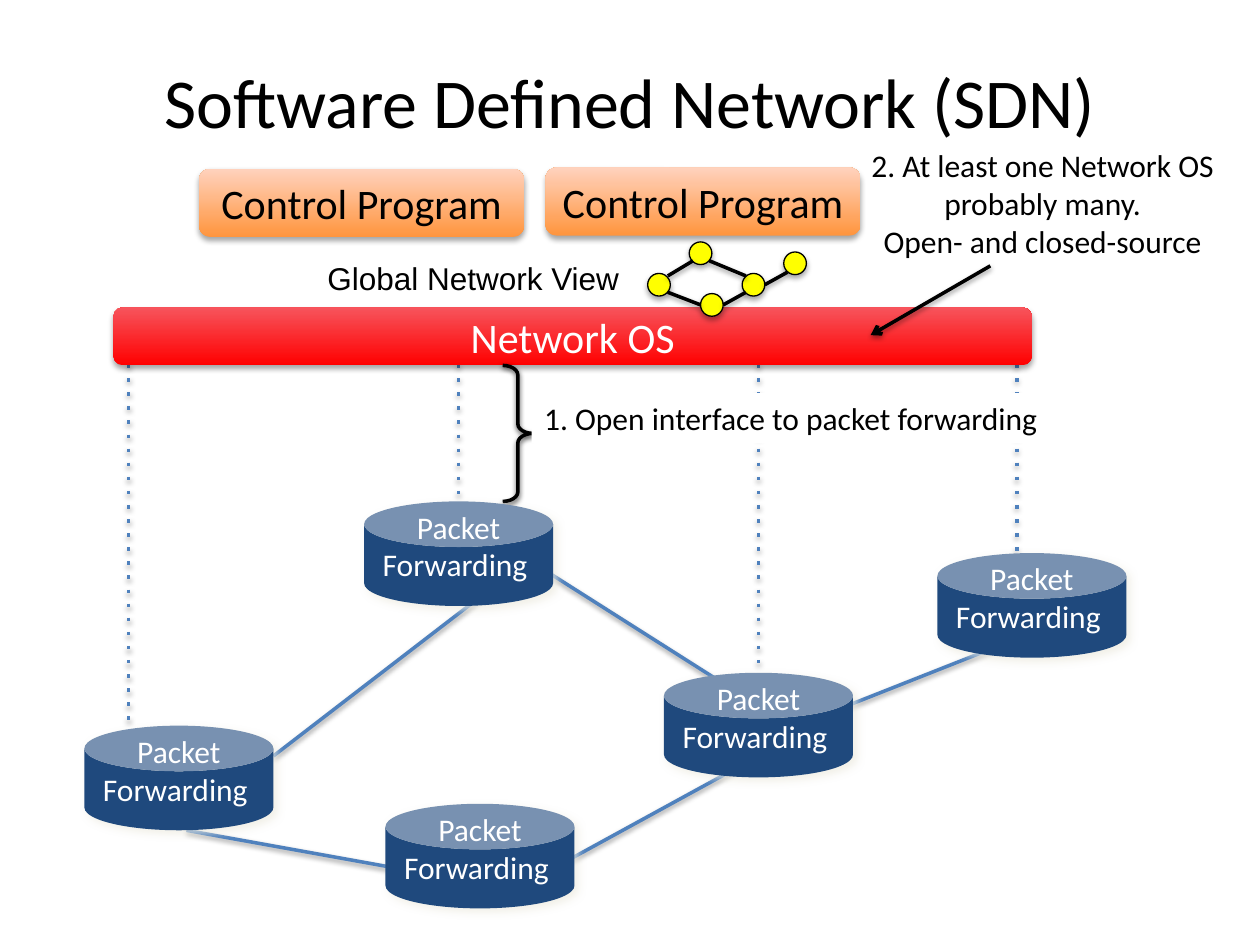
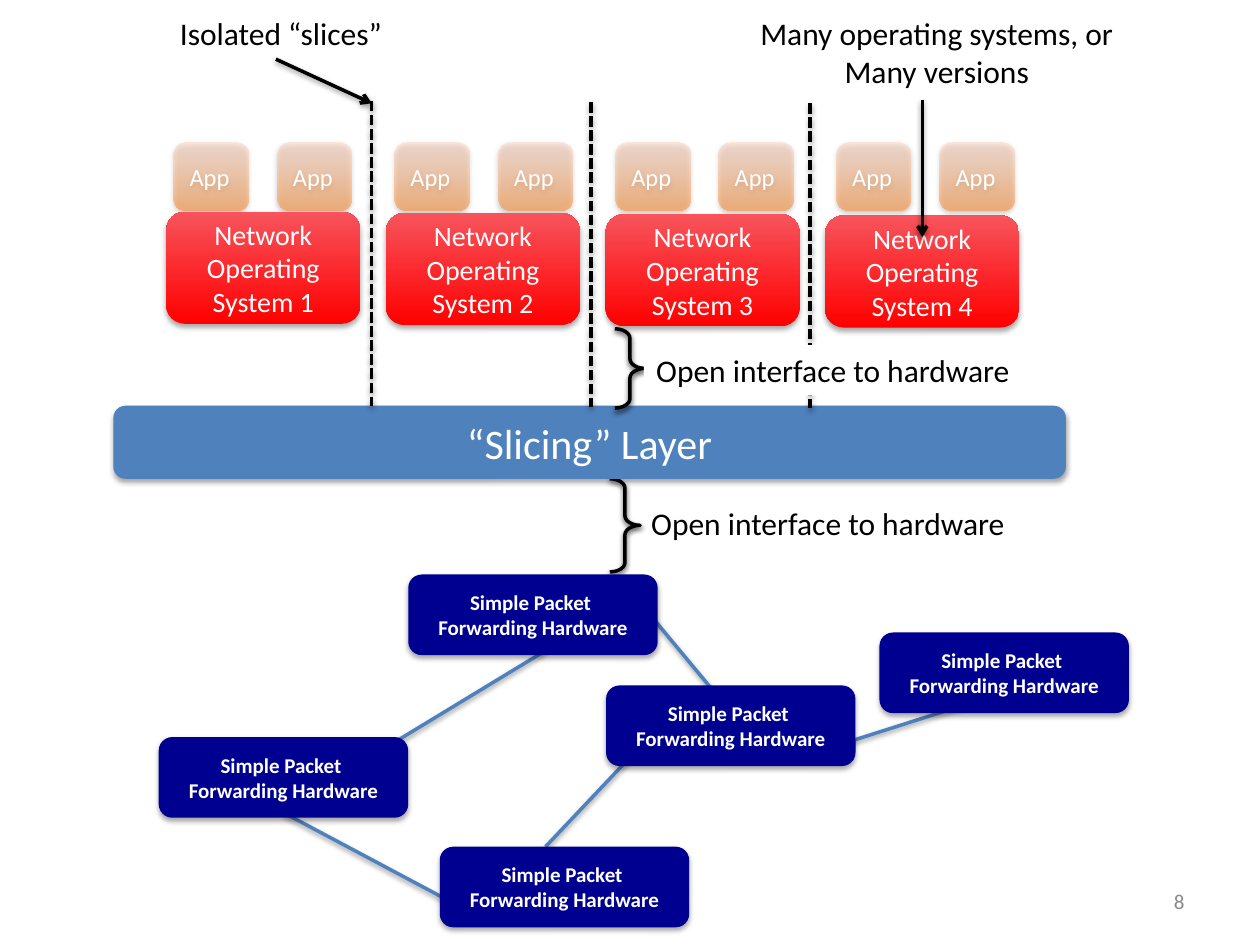
from lxml import etree
from pptx import Presentation
from pptx.dml.color import RGBColor
from pptx.enum.shapes import MSO_CONNECTOR, MSO_SHAPE
from pptx.enum.text import MSO_ANCHOR, PP_ALIGN
from pptx.oxml.ns import qn
from pptx.util import Inches, Pt

COLORS = {
    "black": "000000", "white": "FFFFFF", "blue": "4F81BD", "can": "1F497D",
    "navy": "000090", "red": "FF0000", "light_red": "F7545C",
    "orange": "FF953E", "peach": "FFD2BD", "yellow": "FFFF00",
    "cream": "EEECE1", "gray": "898989",
}
ORANGE_FADE = ("orange", "peach")
RED_FADE = ("red", "light_red")
FONT = "Calibri"

# colour, opacity %, blur pt, distance pt, angle
BOX_SHADOW = ("black", 35, 3.1, 1.8, 90)
LINE_SHADOW = ("black", 38, 3.1, 1.6, 90)
BRACE_SHADOW = ("black", 69, 3.1, 1.6, 90)
CAN_SHADOW = ("cream", 75, 5, 3, 45)

ROUND, RECT, CAN = MSO_SHAPE.ROUNDED_RECTANGLE, MSO_SHAPE.RECTANGLE, MSO_SHAPE.CAN
OVAL, BRACE = MSO_SHAPE.OVAL, MSO_SHAPE.RIGHT_BRACE
STRAIGHT = MSO_CONNECTOR.STRAIGHT
LEFT, CENTER, RIGHT = PP_ALIGN.LEFT, PP_ALIGN.CENTER, PP_ALIGN.RIGHT
TOP, MIDDLE, BOTTOM = MSO_ANCHOR.TOP, MSO_ANCHOR.MIDDLE, MSO_ANCHOR.BOTTOM


def rgb(name):
    return RGBColor.from_string(COLORS[name])


def add_shadow(sp, shadow):
    """Give a shape or connector an outer shadow, or none at all."""
    spPr = sp._element.spPr
    effects = etree.SubElement(spPr, qn("a:effectLst"))
    if shadow is None:
        return
    color, opacity, blur, distance, angle = shadow
    outer = etree.SubElement(
        effects, qn("a:outerShdw"), blurRad=str(Pt(blur)), dist=str(Pt(distance)),
        dir=str(angle * 60000), rotWithShape="0")
    clr = etree.SubElement(outer, qn("a:srgbClr"), val=COLORS[color])
    etree.SubElement(clr, qn("a:alpha"), val=str(opacity * 1000))


def paint(sp, fill, opacity=None):
    """Fill with nothing, one colour, or a fade from bottom to top."""
    if fill is None:
        sp.fill.background()
    elif isinstance(fill, str):
        sp.fill.solid()
        sp.fill.fore_color.rgb = rgb(fill)
    else:
        sp.fill.gradient()
        sp.fill.gradient_angle = 90
        for i, (stop, color) in enumerate(zip(sp.fill.gradient_stops, fill)):
            stop.position = i
            stop.color.rgb = rgb(color)
        if opacity:
            colors = sp._element.spPr.iter(qn("a:srgbClr"))
            for clr, percent in zip(colors, opacity):
                etree.SubElement(clr, qn("a:alpha"), val=str(percent * 1000))


def write(sp, text, size, color="white", align=CENTER, anchor=MIDDLE,
          bold=False, wrap=True, font=FONT):
    tf = sp.text_frame
    tf.text = text
    tf.word_wrap = wrap
    tf.vertical_anchor = anchor
    for p in tf.paragraphs:
        p.alignment = align
        for r in p.runs:
            r.font.name = font
            r.font.size = Pt(size)
            r.font.bold = bold
            r.font.color.rgb = rgb(color)


def add_shape(s, kind, box, fill=None, line=None, shadow=None, opacity=None, adj=None):
    """line is a colour and a width in points."""
    sp = s.shapes.add_shape(kind, *map(Inches, box))
    paint(sp, fill, opacity)
    if line:
        sp.line.color.rgb = rgb(line[0])
        sp.line.width = Pt(line[1])
    else:
        sp.line.fill.background()
    if adj:
        sp.adjustments[0] = adj
    add_shadow(sp, shadow)
    return sp


def add_label(s, box, text, size=18, color="black", align=LEFT, anchor=TOP, **style):
    sp = s.shapes.add_textbox(*map(Inches, box))
    write(sp, text, size, color, align, anchor, **style)


def add_line(s, start, end, color="blue", dash=None, arrow=False):
    c = s.shapes.add_connector(STRAIGHT, *map(Inches, (*start, *end)))
    c.line.color.rgb = rgb(color)
    c.line.width = Pt(2)
    ln = c._element.spPr.find(qn("a:ln"))
    if dash:
        etree.SubElement(ln, qn("a:prstDash"), val=dash)
    if arrow:
        etree.SubElement(ln, qn("a:tailEnd"), type="arrow")
    add_shadow(c, LINE_SHADOW)


def add_box(s, box, text, size, fill, color="white", **style):
    sp = add_shape(s, ROUND, box, fill, shadow=BOX_SHADOW)
    write(sp, text, size, color, **style)


def add_interface(s, left, top, height, label_top, label_width, text, cover=True):
    """Brace with a label on its right; cover hides the lines behind the label."""
    add_shape(s, BRACE, (left, top, 0.24, height), line=("black", 2),
              shadow=BRACE_SHADOW, adj=0.315)
    sp = add_shape(s, RECT, (left + 0.23, top + label_top, label_width, 0.4),
                   "white" if cover else None)
    write(sp, text, 18, "black", LEFT, TOP)


def add_global_view(s, left, top):
    """Small graph of the whole network."""
    for x, y in [(0, 0.25), (0.33, 0), (0.75, 0.25), (1.08, 0.08), (0.42, 0.41)]:
        add_shape(s, OVAL, (left + x, top + y, 0.18, 0.18), "yellow",
                  ("black", 0.75), BOX_SHADOW)
    edges = [(0.16, 0.27, 0.36, 0.15), (0.42, 0.5, 0.16, 0.4), (0.78, 0.27, 0.49, 0.15),
             (0.6, 0.5, 0.78, 0.4), (0.93, 0.34, 1.11, 0.24)]
    for x1, y1, x2, y2 in edges:
        add_line(s, (left + x1, top + y1), (left + x2, top + y2), "black")


def add_links(s, links):
    for x1, y1, x2, y2 in links:
        add_line(s, (x1, y1), (x2, y2))


def add_switch(s, left, top):
    sp = add_shape(s, CAN, (left, top, 1.5, 0.83), "can", shadow=CAN_SHADOW, adj=0.436)
    write(sp, "Packet\nForwarding ", 18, anchor=BOTTOM, wrap=False)
    sp.text_frame.margin_bottom = 0


def add_slice(s, left, number):
    """Two apps on top of their own operating system."""
    app_left = left + 0.06 + 0.01 * (number - 1)
    for x in (app_left, app_left + 0.82):
        sp = add_shape(s, ROUND, (x, 1.13, 0.59, 0.54), ORANGE_FADE,
                       shadow=BOX_SHADOW, opacity=(60, 45))
        write(sp, "App", 14, align=LEFT)
    add_box(s, (left, 1.67 + 0.01 * number, 1.54, 0.89),
            f"Network Operating System {number}", 16, RED_FADE)


def build_sdn(prs):
    s = prs.slides.add_slide(prs.slide_layouts[6])
    add_links(s, [(2.17, 6, 3.99, 4.6), (4.22, 4.46, 5.67, 5.38), (4.34, 6.92, 6.02, 6),
                  (1.48, 6.59, 3.31, 6.92), (6.5, 5.69, 8.07, 5.07)])
    for box in [(1.58, 1.34, 2.58, 0.54), (4.33, 1.33, 2.5, 0.54)]:
        add_box(s, box, "Control Program", 24, ORANGE_FADE, "black")
    for x, bottom in [(1.02, 5.93), (3.64, 3.98), (6.02, 5.38), (8.07, 4.46)]:
        add_line(s, (x, 2.89), (x, bottom), dash="dot")
    add_box(s, (0.9, 2.44, 7.29, 0.46), "Network OS", 24, RED_FADE)
    add_interface(s, 3.99, 2.9, 1.08, 0.22, 4.71, "1. Open interface to packet forwarding")
    add_label(s, (6.2, 1.11, 4.15, 1.01),
              "2. At least one Network OS\vprobably many.\vOpen- and closed-source",
              align=CENTER)
    add_line(s, (7.86, 2.11), (6.91, 2.66), "black", arrow=True)
    add_label(s, (0.5, 0.17, 9, 1.25), "Software Defined Network (SDN)", 40,
              align=CENTER, anchor=MIDDLE)
    for left, top in [(0.67, 5.76), (3.06, 6.38), (2.89, 3.98), (5.27, 5.34), (7.44, 4.39)]:
        add_switch(s, left, top)
    add_label(s, (2.5, 2.01, 2.56, 0.4), "Global Network View", font="Arial", wrap=False)
    add_global_view(s, 5.14, 1.92)


def build_slicing(prs):
    s = prs.slides.add_slide(prs.slide_layouts[6])
    add_links(s, [(2.82, 6.08, 4.32, 5.17), (5.01, 4.7, 5.7, 5.53), (4.33, 6.72, 5.01, 6),
                  (2.25, 6.45, 3.64, 7.19), (6.38, 6, 7.67, 5.59)])
    interface = "Open interface to hardware"
    add_interface(s, 4.84, 3.8, 0.74, 0.15, 3.04, interface, cover=False)
    add_box(s, (0.9, 3.22, 7.56, 0.58), "“Slicing” Layer", 24, "blue")
    for i in range(4):
        add_slice(s, 1.32 + 1.743 * i, i + 1)
    add_label(s, (5.92, 0.06, 3.03, 0.71), "Many operating systems, or\nMany versions",
              align=CENTER, wrap=False)
    add_line(s, (7.32, 0.79), (7.32, 1.88), "black", arrow=True)
    for i in range(3):
        x, y = 2.95 + 1.74 * i, 0.8 + 0.01 * i
        add_line(s, (x, y), (x, y + 2.42), "black", dash="sysDash")
    add_interface(s, 4.88, 2.61, 0.63, 0.13, 3.03, interface)
    add_label(s, (1.32, 0.06, 1.82, 0.4), "Isolated “slices”", align=CENTER, wrap=False)
    add_line(s, (2.19, 0.47), (2.95, 0.82), "black", arrow=True)
    for left, top in [(6.98, 5.02), (4.81, 5.44), (1.26, 5.85), (3.49, 6.72), (3.24, 4.56)]:
        add_box(s, (left, top, 1.98, 0.64), "Simple Packet \vForwarding Hardware",
                12, "navy", bold=True)
    add_label(s, (7.17, 6.95, 2.33, 0.4), "8", 12, "gray", RIGHT, MIDDLE)


def main():
    prs = Presentation()
    prs.slide_width, prs.slide_height = Inches(10), Inches(7.5)
    build_sdn(prs)
    build_slicing(prs)
    prs.save("out.pptx")


if __name__ == "__main__":
    main()
